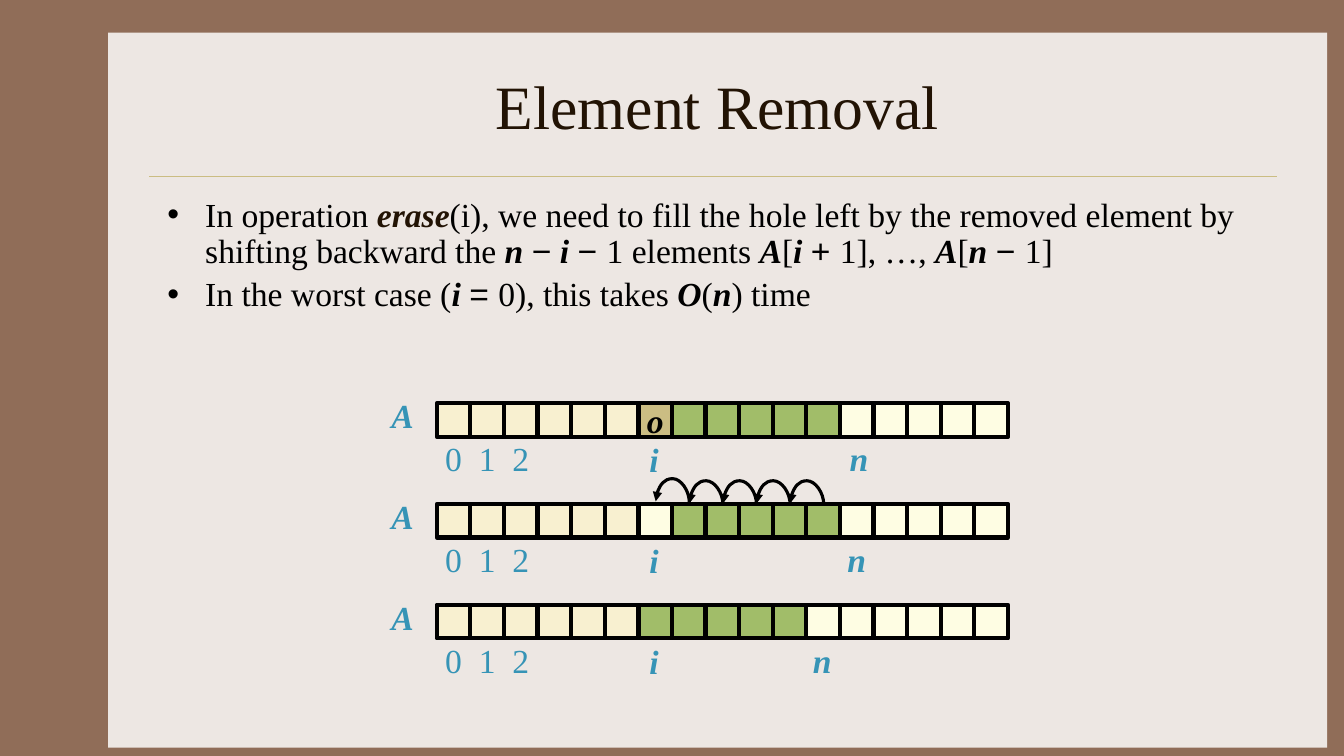
from lxml import etree
from pptx import Presentation
from pptx.dml.color import RGBColor
from pptx.enum.shapes import MSO_CONNECTOR, MSO_SHAPE
from pptx.enum.text import MSO_ANCHOR, PP_ALIGN
from pptx.oxml.ns import qn
from pptx.util import Pt

RECTANGLE = MSO_SHAPE.RECTANGLE
STRAIGHT, CURVE = MSO_CONNECTOR.STRAIGHT, MSO_CONNECTOR.CURVE
LEFT, CENTER = PP_ALIGN.LEFT, PP_ALIGN.CENTER
MIDDLE = MSO_ANCHOR.MIDDLE

PX = 9525  # 96 px to the inch
BROWN = RGBColor(0x90, 0x6D, 0x58)
PAPER = RGBColor(0xED, 0xE7, 0xE3)
DARK = RGBColor(0x22, 0x13, 0x04)
BLACK = RGBColor(0, 0, 0)
BLUE = RGBColor(0x36, 0x94, 0xB6)
CREAM = RGBColor(0xF8, 0xF0, 0xD0)
TAN = RGBColor(0xCB, 0xBD, 0x83)
GREEN = RGBColor(0xA1, 0xBD, 0x69)
IVORY = RGBColor(0xFE, 0xFD, 0xE3)

SERIF = "Times New Roman"
PLAIN = {"name": SERIF, "size": Pt(24), "bold": False, "italic": False}
VARIABLE = {**PLAIN, "bold": True, "italic": True}
SYMBOL = {**PLAIN, "name": "Arial"}
TITLE = {**PLAIN, "size": Pt(44)}


def add_run(paragraph, text, font_format, color):
    run = paragraph.add_run()
    run.text = text
    for name, value in font_format.items():
        setattr(run.font, name, value)
    run.font.color.rgb = color


def add_label(shapes, text, left, top, width, font_format, alignment=CENTER):
    """Add a blue array label without insets."""
    frame = shapes.add_textbox(left * PX, top * PX, width * PX, 38 * PX).text_frame
    frame.word_wrap = alignment == CENTER
    for side in ("left", "top", "right", "bottom"):
        setattr(frame, f"margin_{side}", 0)
    frame.paragraphs[0].alignment = alignment
    add_run(frame.paragraphs[0], text, font_format, BLUE)


presentation = Presentation()
presentation.slide_width = 1280 * PX
presentation.slide_height = 720 * PX
slide = presentation.slides.add_slide(presentation.slide_layouts[6])
slide.background.fill.solid()
slide.background.fill.fore_color.rgb = BROWN

# Panel, rule and title
panel = slide.shapes.add_shape(RECTANGLE, 103 * PX, 31 * PX, 1161 * PX, 681 * PX)
panel.shadow.inherit = False
panel.fill.solid()
panel.fill.fore_color.rgb = PAPER
panel.line.fill.background()

rule = slide.shapes.add_connector(STRAIGHT, 142 * PX, 168 * PX, 1216 * PX, 168 * PX)
rule.line.color.rgb = TAN
rule.line.width = Pt(0.25)
etree.SubElement(rule._element.spPr, qn("a:effectLst"))

title_frame = slide.shapes.add_textbox(150 * PX, 40 * PX, 1067 * PX, 120 * PX).text_frame
title_frame.word_wrap = True
title_frame.vertical_anchor = MIDDLE
title_frame.paragraphs[0].alignment = CENTER
add_run(title_frame.paragraphs[0], "Element Removal", TITLE, DARK)

# Bullets
bullets = [
    [
        ("In operation ", PLAIN), ("erase", VARIABLE),
        ("(i), we need to fill the hole left by the removed element by "
         "shifting backward the ", PLAIN),
        ("n ", VARIABLE), ("−", SYMBOL), (" i ", VARIABLE), ("− ", SYMBOL),
        ("1 elements ", PLAIN), ("A", VARIABLE), ("[", PLAIN), ("i ", VARIABLE),
        ("+ ", SYMBOL), ("1], …, ", PLAIN), ("A", VARIABLE), ("[", PLAIN),
        ("n ", VARIABLE), ("− ", SYMBOL), ("1]", PLAIN),
    ],
    [
        ("In the worst case (", PLAIN), ("i ", VARIABLE), ("= ", SYMBOL),
        ("0), this takes ", PLAIN), ("O", VARIABLE), ("(", PLAIN),
        ("n", VARIABLE), (") time", PLAIN),
    ],
]
body_frame = slide.shapes.add_textbox(150 * PX, 184 * PX, 1067 * PX, 432 * PX).text_frame
body_frame.word_wrap = True
for number, runs in enumerate(bullets):
    paragraph = body_frame.add_paragraph() if number else body_frame.paragraphs[0]
    paragraph.line_spacing = 0.9
    paragraph.space_before = Pt(4.8 if number else 0)
    properties = paragraph._p.get_or_add_pPr()
    properties.set("marL", str(36 * PX))
    properties.set("indent", str(-36 * PX))
    etree.SubElement(properties, qn("a:buFont"), typeface="Arial")
    etree.SubElement(properties, qn("a:buChar"), char="•")
    for text, font_format in runs:
        add_run(paragraph, text, font_format, DARK if text == "erase" else BLACK)

# Array states: row top, left of label n, cell colours
CELL = 32
ARRAY_LEFT = 416
HOLE = 6
rows = [
    (384, 803, [CREAM] * 6 + [TAN] + [GREEN] * 5 + [IVORY] * 5),
    (480, 801, [CREAM] * 6 + [IVORY] + [GREEN] * 5 + [IVORY] * 5),
    (576, 768, [CREAM] * 6 + [GREEN] * 5 + [IVORY] * 6),
]
for top, end_left, colors in rows:
    shapes = slide.shapes.add_group_shape().shapes
    add_label(shapes, "A", 368, top - 8, 31, VARIABLE)
    for index in range(3):
        add_label(shapes, str(index), 424 + index * CELL, top + 33, 16, PLAIN, LEFT)
    add_label(shapes, "n", end_left, top + 33, 30, VARIABLE)
    for index, color in enumerate(colors):
        cell = shapes.add_shape(RECTANGLE, (ARRAY_LEFT + index * CELL) * PX, top * PX,
                                CELL * PX, CELL * PX)
        cell.shadow.inherit = False
        cell.fill.solid()
        cell.fill.fore_color.rgb = color
        cell.line.color.rgb = BLACK
        cell.line.width = Pt(3)
        if color == TAN:
            cell.text_frame.word_wrap = False
            cell.text_frame.vertical_anchor = MIDDLE
            cell.text_frame.paragraphs[0].alignment = CENTER
            add_run(cell.text_frame.paragraphs[0], "o", VARIABLE, BLACK)
    add_label(shapes, "i", ARRAY_LEFT + HOLE * CELL, top + 34, 30, VARIABLE)

# Shift arrows: upright curves turned a quarter, bulging 22 px above the second array
for step in range(5):
    center = ARRAY_LEFT + (HOLE + 1 + step) * CELL
    middle = 480 if step else 478
    arrow = slide.shapes.add_connector(CURVE, center * PX, (middle + CELL // 2) * PX,
                                       (center + 1) * PX, (middle - CELL // 2) * PX)
    arrow.line.color.rgb = BLACK
    arrow.line.width = Pt(2.25)
    properties = arrow._element.spPr
    properties.find(qn("a:xfrm")).set("rot", "5400000")
    adjustments = properties.find(qn("a:prstGeom")).find(qn("a:avLst"))
    etree.SubElement(adjustments, qn("a:gd"), name="adj1", fmla="val -2200000")
    etree.SubElement(properties.find(qn("a:ln")), qn("a:headEnd"), type="triangle")
    etree.SubElement(properties, qn("a:effectLst"))

presentation.save("out.pptx")
